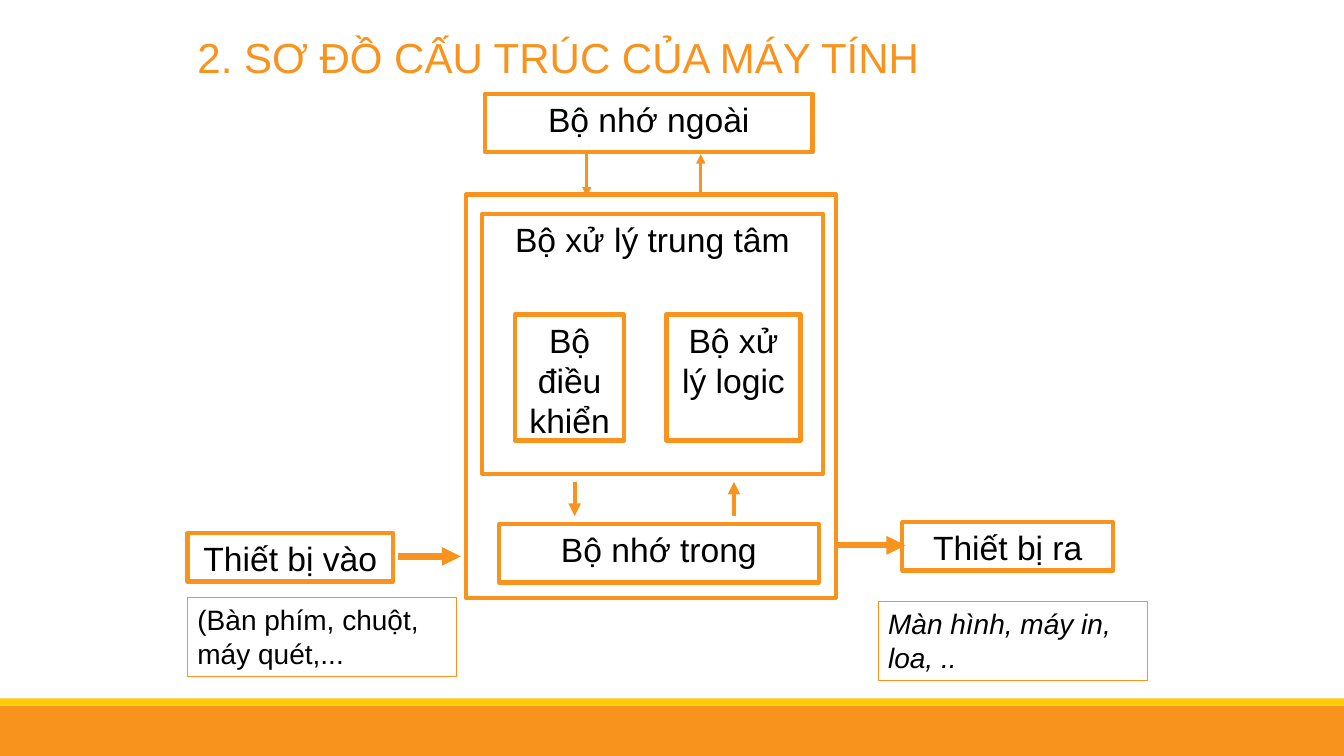
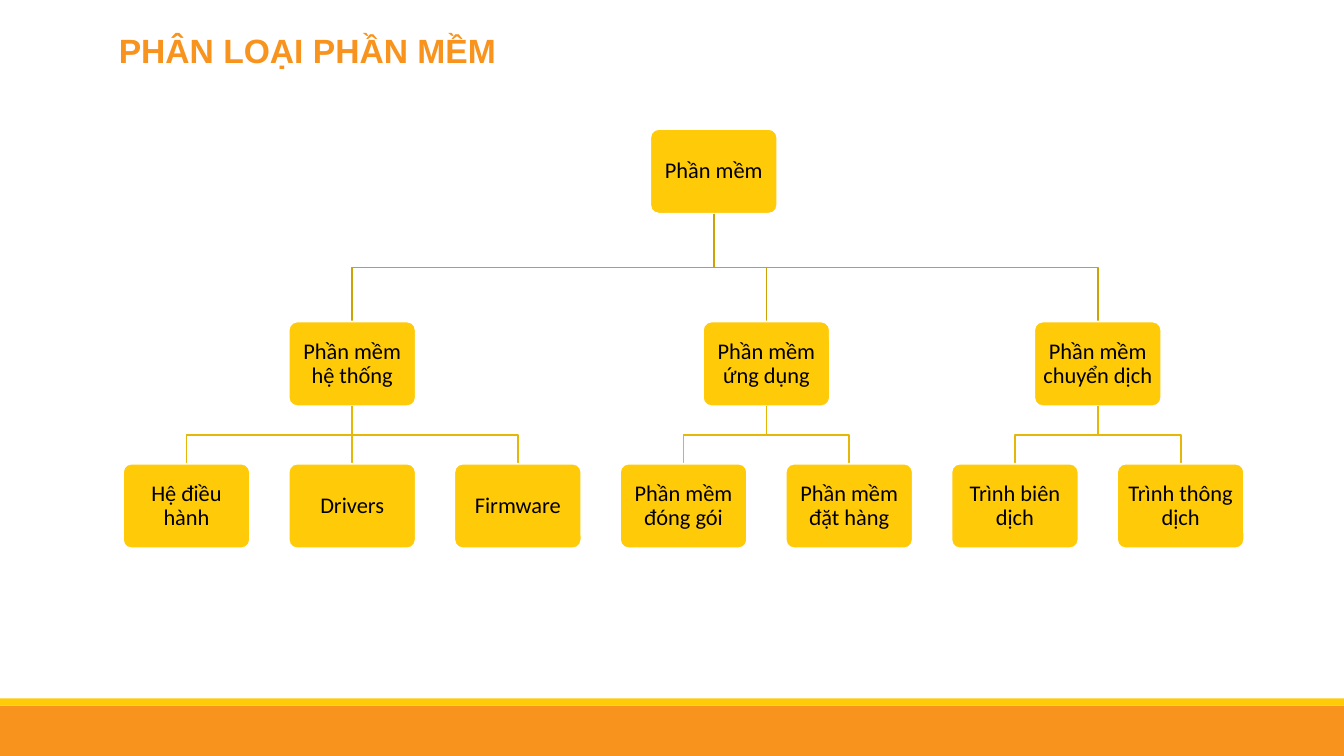
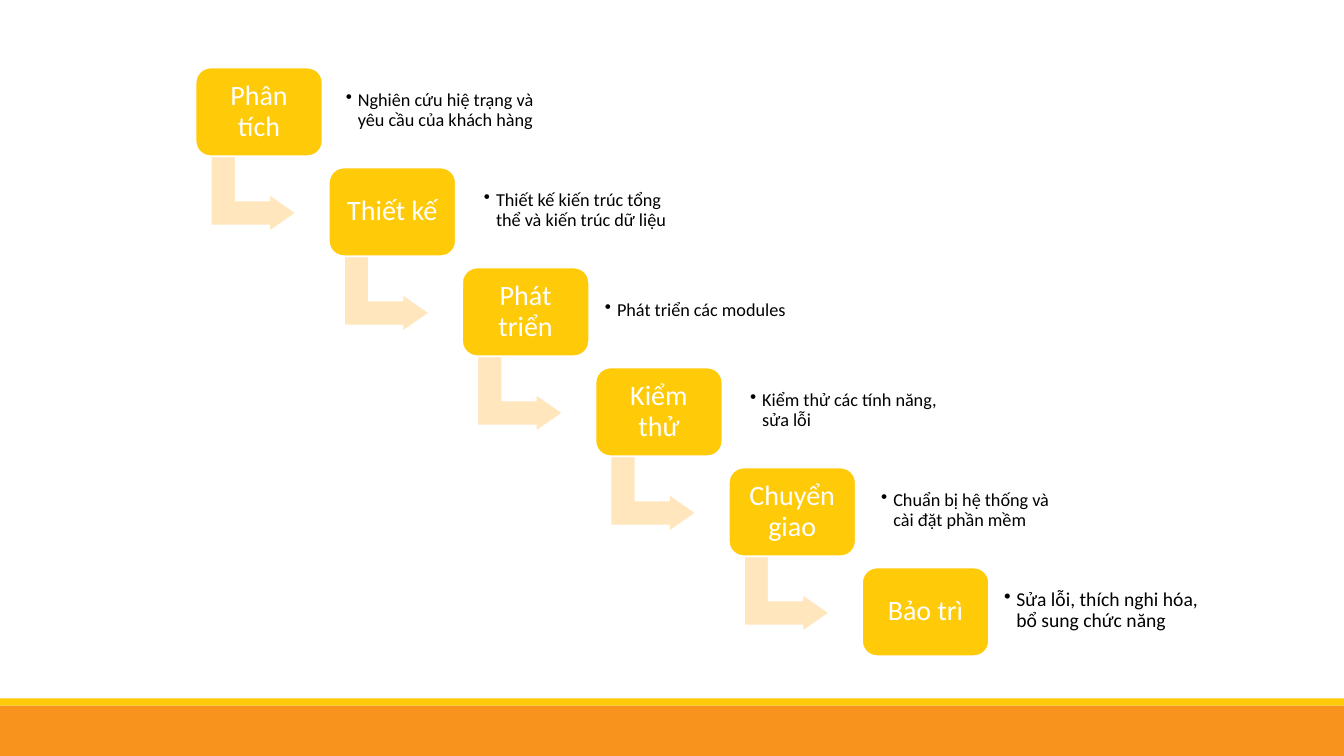
from dataclasses import dataclass

from pptx import Presentation
from pptx.dml.color import RGBColor as RGB
from pptx.enum.shapes import MSO_CONNECTOR as Link, MSO_SHAPE as Kind
from pptx.enum.text import MSO_ANCHOR as Anchor, PP_ALIGN as Align
from pptx.oxml.ns import qn
from pptx.oxml.xmlchemy import OxmlElement as Tag
from pptx.util import Inches, Pt


@dataclass(frozen=True)
class Theme:
    orange: str = "F8931D"
    gold: str = "FFCA08"
    cream: str = "FFE6BD"
    trunk: str = "CCA206"
    twig: str = "E7B707"
    white: str = "FFFFFF"
    black: str = "000000"
    sans: str = "Arial"
    body: str = "Calibri"
    title: int = 30
    label: int = 24
    hint: int = 20
    node: int = 16
    stage: int = 20
    note: int = 13
    rim: float = 1.25


T = Theme()


def rgb(code):
    return RGB.from_string(code)


def write(shape, text, size, color=T.black, font=T.sans, align=Align.LEFT,
          inset=None, anchor=Anchor.TOP, space=None, bold=None, italic=None):
    frame = shape.text_frame
    frame.text = text
    frame.word_wrap = True
    frame.vertical_anchor = anchor
    if inset is not None:
        frame.margin_left = frame.margin_right = Inches(inset)
        frame.margin_top = frame.margin_bottom = Inches(inset)
    para = frame.paragraphs[0]
    para.alignment = align
    para.line_spacing = space
    face = para.runs[0].font
    face.name, face.size = font, Pt(size)
    face.bold, face.italic = bold, italic
    face.color.rgb = rgb(color)
    return para


def draw(slide, kind, box, fill=None, line=None, width=T.rim, adjust=()):
    shape = slide.shapes.add_shape(kind, *map(Inches, box))
    shape.shadow.inherit = False
    for i, value in enumerate(adjust):
        shape.adjustments[i] = value
    if fill:
        shape.fill.solid()
        shape.fill.fore_color.rgb = rgb(fill)
    else:
        shape.fill.background()
    if line:
        shape.line.color.rgb = rgb(line)
        shape.line.width = Pt(width)
    else:
        shape.line.fill.background()
    return shape


def area(slide, box):
    return slide.shapes.add_textbox(*map(Inches, box))


def head(slide, box, text, size, bold=None):
    write(area(slide, box), text, size, T.orange, bold=bold)


def join(slide, start, end, color, width, arrow=False):
    line = slide.shapes.add_connector(Link.STRAIGHT, *map(Inches, start + end))
    line.line.color.rgb = rgb(color)
    line.line.width = Pt(width)
    props = line.element.spPr
    if arrow:
        tip = Tag("a:tailEnd")
        tip.set("type", "triangle")
        props.find(qn("a:ln")).append(tip)
    props.append(Tag("a:effectLst"))


def branch(slide, start, end, color):
    """Join a parent's foot to a child's top, turning halfway down."""
    (x1, y1), (x2, y2) = start, end
    if x1 == x2:
        return join(slide, start, end, color, T.rim)
    mid = (y1 + y2) / 2
    pen = slide.shapes.build_freeform(Inches(x1), Inches(y1))
    turns = [(x1, mid), (x2, mid), (x2, y2)]
    pen.add_line_segments([tuple(map(Inches, p)) for p in turns], close=False)
    path = pen.convert_to_shape()
    path.shadow.inherit = False
    path.fill.background()
    path.line.color.rgb = rgb(color)
    path.line.width = Pt(T.rim)


def card(slide, box, text, size, color, inset, bend):
    shape = draw(slide, Kind.ROUNDED_RECTANGLE, box, T.gold, T.white,
                 adjust=[bend])
    write(shape, text, size, color, T.body, Align.CENTER, inset,
          Anchor.MIDDLE, 0.9)


def bullet(slide, box, text, size):
    para = write(area(slide, box), text, size, font=T.body, inset=0.07,
                 anchor=Anchor.MIDDLE, space=0.9)
    props = para._p.get_or_add_pPr()
    props.set("marL", str(Inches(0.12)))
    props.set("indent", str(-Inches(0.12)))
    mark = Tag("a:buChar")
    mark.set("char", "•")
    props.append(mark)


def bands(deck, slide):
    """Draw the foot bands and move them to the master, for every slide."""
    tree = deck.slide_master.element.cSld.spTree
    for top, high, fill in [(7, 0.5, T.orange), (6.93, 0.07, T.gold)]:
        band = draw(slide, Kind.RECTANGLE, (0, top, 13.33, high), fill)
        tree.append(band.element)


def scheme(slide):
    head(slide, (1.86, 0.26, 9.69, 0.6),
         "2. SƠ ĐỒ CẤU TRÚC CỦA MÁY TÍNH", T.title)
    draw(slide, Kind.RECTANGLE, (4.62, 1.93, 3.67, 4), line=T.orange, width=3)
    parts = [
        ("Thiết bị vào", (1.86, 5.29, 2.04, 0.48)),
        ("Thiết bị ra", (8.95, 5.18, 2.09, 0.48)),
        ("Bộ xử lý trung tâm", (4.78, 2.12, 3.38, 2.58)),
        ("Bộ điều khiển", (5.11, 3.12, 1.08, 1.25)),
        ("Bộ xử lý logic", (6.61, 3.12, 1.33, 1.25)),
        ("Bộ nhớ trong", (4.95, 5.2, 3.17, 0.58)),
        ("Bộ nhớ ngoài", (4.81, 0.93, 3.25, 0.58)),
    ]
    for text, box in parts:
        part = draw(slide, Kind.RECTANGLE, box, line=T.orange, width=3)
        write(part, text, T.label, align=Align.CENTER)
    flows = [
        ((3.95, 5.52), (4.57, 5.52), 4.5),
        ((8.31, 5.41), (8.98, 5.41), 4.5),
        ((5.7, 4.78), (5.7, 5.12), 3),
        ((7.28, 5.12), (7.28, 4.78), 3),
        ((5.82, 1.53), (5.82, 1.95), 2.25),
        ((6.95, 1.95), (6.95, 1.53), 2.25),
    ]
    for start, end, width in flows:
        join(slide, start, end, T.orange, width, arrow=True)
    hints = [
        ("(Bàn phím, chuột, máy quét,...", 1.86, 5.93, None),
        ("Màn hình, máy in, loa, ..", 8.71, 5.97, True),
    ]
    for text, left, top, italic in hints:
        hint = draw(slide, Kind.RECTANGLE, (left, top, 2.67, 0.78),
                    line=T.orange, width=0.75)
        write(hint, text, T.hint, italic=italic)


def tree(slide):
    head(slide, (1.08, 0.25, 8.31, 0.5), "PHÂN LOẠI PHẦN MỀM", T.label, True)
    wide, high = 1.26, 0.84
    tops = 1.28, 3.19, 4.6
    root = 7.08
    first, last = 1.85, 11.71
    groups = [
        ("Phần mềm hệ thống", ["Hệ điều hành", "Drivers", "Firmware"]),
        ("Phần mềm ứng dụng", ["Phần mềm đóng gói", "Phần mềm đặt hàng"]),
        ("Phần mềm chuyển dịch", ["Trình biên dịch", "Trình thông dịch"]),
    ]
    count = sum(len(leaves) for _, leaves in groups)
    pitch = (last - first) / (count - 1)

    def node(text, mid, row):
        card(slide, (mid - wide / 2, tops[row], wide, high), text, T.node,
             T.black, 0.06, 0.1)

    def link(upper, lower, row, color):
        branch(slide, (upper, tops[row] + high), (lower, tops[row + 1]), color)

    node("Phần mềm", root, 0)
    done = 0
    for name, leaves in groups:
        mid = first + pitch * (done + (len(leaves) - 1) / 2)
        link(root, mid, 0, T.trunk)
        node(name, mid, 1)
        for i, leaf in enumerate(leaves, done):
            spot = first + pitch * i
            link(mid, spot, 1, T.twig)
            node(leaf, spot, 2)
        done += len(leaves)


def steps(slide):
    stages = [
        ("Phân tích", "Nghiên cứu hiệ trạng và yêu cầu của khách hàng",
         3.36, 2.07, T.note),
        ("Thiết kế", "Thiết kế kiến trúc tổng thể và kiến trúc dữ liệu",
         4.73, 2.09, T.note),
        ("Phát triển", "Phát triển các modules", 5.93, 2.52, T.note),
        ("Kiểm thử", "Kiểm thử các tính năng, sửa lỗi", 7.37, 2.07, T.note),
        ("Chuyển giao", "Chuẩn bị hệ thống và cài đặt phần mềm",
         8.67, 1.99, T.note),
        ("Bảo trì", "Sửa lỗi, thích nghi hóa, bổ sung chức năng",
         9.89, 2.1, T.note + 1),
    ]
    final = len(stages) - 1
    across, down = (8.55 - 1.94) / final, (5.63 - 0.67) / final
    for i, (name, note, spot, wide, size) in enumerate(stages):
        left, top = 1.94 + across * i, 0.67 + down * i
        if i < final:
            arrow = draw(slide, Kind.BENT_UP_ARROW,
                         (left + 0.2, top + 0.83, 0.75, 0.85),
                         T.cream, T.white, adjust=[0.33, 0.25, 0.36])
            arrow.rotation = 90
        card(slide, (left, top, 1.26, 0.88), name, T.stage, T.white,
             0.08, 0.17)
        bullet(slide, (spot, top + 0.07, wide, 0.71), note, size)


def main():
    deck = Presentation()
    deck.slide_width, deck.slide_height = Inches(13.33), Inches(7.5)
    blank = deck.slide_layouts[6]
    for i, fill in enumerate([scheme, tree, steps]):
        slide = deck.slides.add_slide(blank)
        if i == 0:
            bands(deck, slide)
        fill(slide)
    deck.save("out.pptx")


if __name__ == "__main__":
    main()
